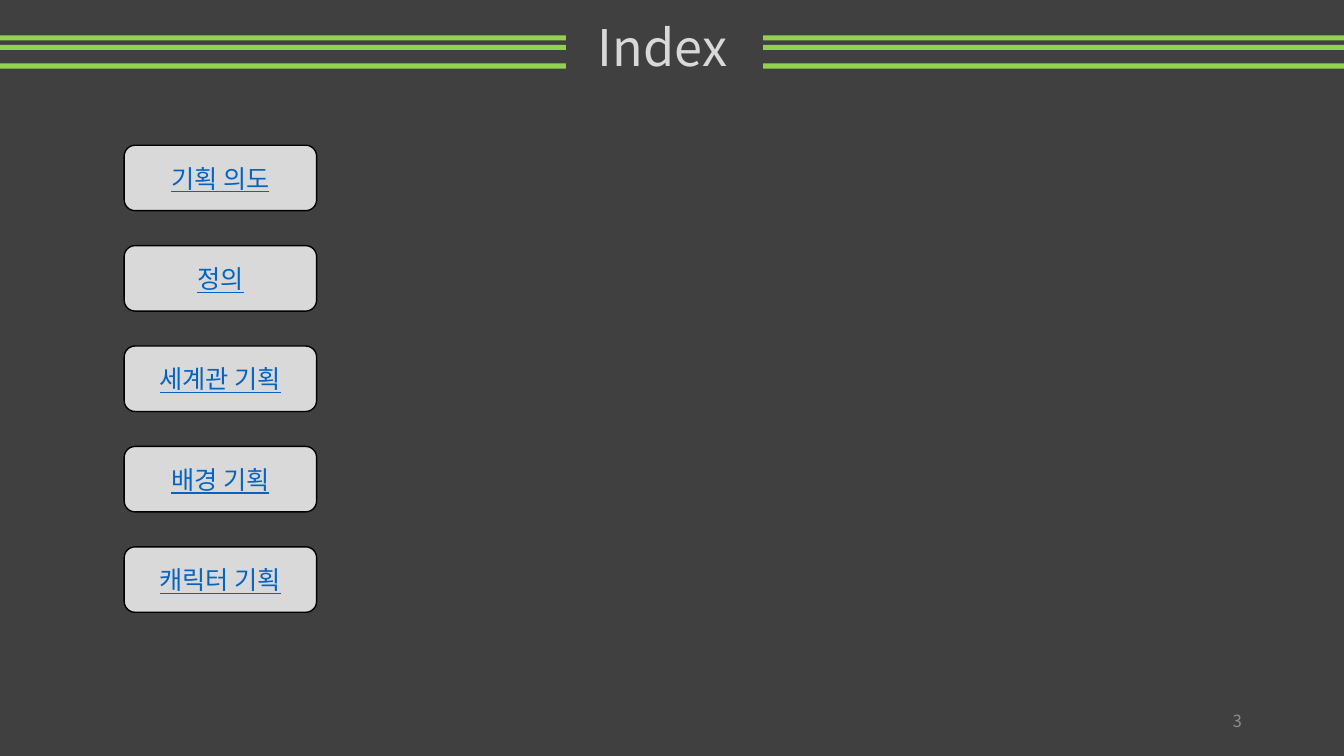
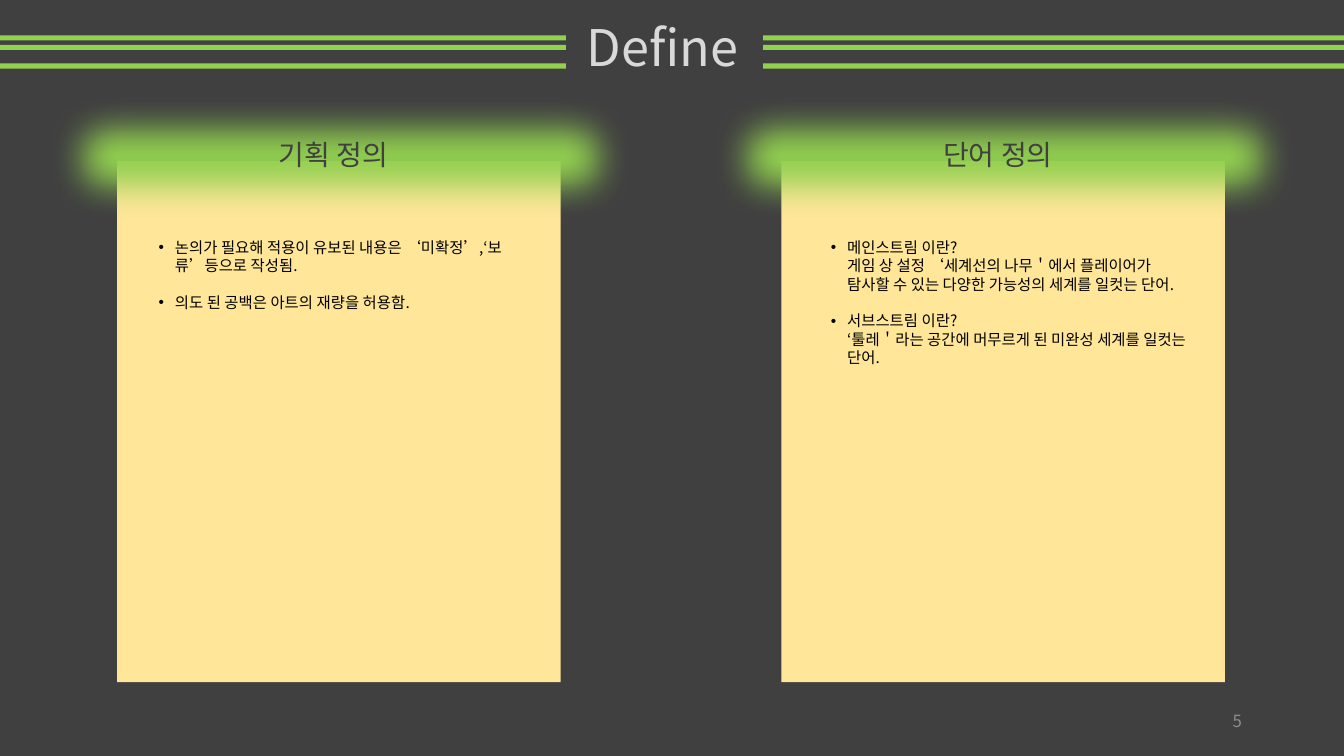
from itertools import groupby

from lxml.etree import SubElement
from pptx import Presentation
from pptx.dml.color import RGBColor
from pptx.enum.shapes import MSO_SHAPE as Shape
from pptx.enum.text import MSO_ANCHOR as Anchor, MSO_AUTO_SIZE as AutoSize, PP_ALIGN as Align
from pptx.oxml.ns import qn
from pptx.util import Cm, Pt

DARK = RGBColor(0x40, 0x40, 0x40)
GREEN = RGBColor(0x92, 0xD0, 0x50)
LIGHT = RGBColor(0xD9, 0xD9, 0xD9)
CREAM = RGBColor(0xFF, 0xE6, 0x99)
GRAY = RGBColor(0x8C, 0x8C, 0x8C)
BLUE = RGBColor(0x05, 0x63, 0xC1)
BLACK = RGBColor(0, 0, 0)
FONT = "Noto Sans CJK KR"
QUOTES = "‘’＇"
WIDTH = 33.87


def write(shape, *paragraphs, size, color, align=Align.CENTER, anchor=Anchor.TOP,
          underline=None, bullet=False, gap=0):
    """Fill a shape with text; quotes are set tight, \n breaks a line."""
    frame = shape.text_frame
    frame.word_wrap = True
    frame.auto_size = AutoSize.NONE
    frame.vertical_anchor = anchor
    for number, text in enumerate(paragraphs):
        paragraph = frame.add_paragraph() if number else frame.paragraphs[0]
        if bullet:
            props = paragraph._p.get_or_add_pPr()
            props.set("marL", str(Cm(0.48)))
            props.set("indent", str(Cm(-0.41)))
            SubElement(props, qn("a:buFont"), typeface="Arial")
            SubElement(props, qn("a:buChar"), char="•")
        paragraph.alignment = align
        paragraph.line_spacing = 1.0
        paragraph.space_before = Pt(gap if number else 0)
        for kind, letters in groupby(text, lambda c: "quote" if c in QUOTES else c == "\n"):
            if kind is True:
                paragraph.add_line_break()
                continue
            run = paragraph.add_run()
            run.text = "".join(letters)
            run.font.size = Pt(size)
            run.font.color.rgb = color
            run.font.underline = underline
            run.font.name = FONT
            props = run._r.get_or_add_rPr()
            SubElement(props, qn("a:ea"), typeface=FONT)
            if kind == "quote":
                props.set("spc", "-300")


def add_block(slide, preset, left, top, width, height, fill, line=None):
    """Add a flat filled shape, outlined only when a line colour is given."""
    block = slide.shapes.add_shape(preset, Cm(left), Cm(top), Cm(width), Cm(height))
    block.shadow.inherit = False
    block.fill.solid()
    block.fill.fore_color.rgb = fill
    if line is None:
        block.line.fill.background()
    else:
        block.line.color.rgb = line
        block.line.width = Pt(1)
    return block


prs = Presentation()
prs.slide_width, prs.slide_height = Cm(WIDTH), Cm(19.05)
background = prs.slide_master.background.fill
background.solid()
background.fore_color.rgb = DARK

# Shared frame: title between green stripes, page number
pages = []
for heading, page_number in (("Index", "3"), ("Define", "5")):
    slide = prs.slides.add_slide(prs.slide_layouts[5])
    for stripe_top in (0.89, 1.13, 1.6):
        for start, end in ((0, 14.26), (19.23, WIDTH)):
            add_block(slide, Shape.RECTANGLE, start, stripe_top, end - start, 0.13, GREEN)
    title = slide.shapes.title
    title.left, title.top, title.width, title.height = Cm(10.77), Cm(0.28), Cm(11.86), Cm(1.8)
    write(title, heading, size=36, color=LIGHT)
    folio = slide.shapes.add_textbox(Cm(23.93), Cm(17.65), Cm(7.62), Cm(1.02))
    write(folio, page_number, size=12, color=GRAY, align=Align.RIGHT, anchor=Anchor.MIDDLE)
    pages.append(slide)
index, define = pages

# Index: one button per chapter
chapters = ("기획 의도", "정의", "세계관 기획", "배경 기획", "캐릭터 기획")
for row, chapter in enumerate(chapters):
    button = add_block(index, Shape.FLOWCHART_ALTERNATE_PROCESS, 3.13, 3.66 + row * 2.53,
                       4.85, 1.65, LIGHT, line=BLACK)
    write(button, chapter, size=18, color=BLUE, anchor=Anchor.MIDDLE, underline=True)

# Define: two sheets, each under a soft-edged tab
definitions = (
    (2.95, 3.68, "기획 정의", (
        "논의가 필요해 적용이 유보된 내용은 ‘미확정’,‘보류’등으로 작성됨.",
        "의도 된 공백은 아트의 재량을 허용함.")),
    (19.69, 20.62, "단어 정의", (
        "메인스트림 이란?\n게임 상 설정 ‘세계선의 나무＇에서 플레이어가 "
        "탐사할 수 있는 다양한 가능성의 세계를 일컷는 단어.",
        "서브스트림 이란?\n‘툴레＇라는 공간에 머무르게 된 미완성 세계를 일컷는 단어.")),
)
for sheet_left, notes_left, topic, notes in definitions:
    add_block(define, Shape.RECTANGLE, sheet_left, 4.06, 11.18, 13.13, CREAM)
    tab = add_block(define, Shape.FLOWCHART_ALTERNATE_PROCESS, sheet_left - 1.7, 2.41,
                    14.66, 3.12, GREEN)
    effects = tab._element.spPr.find(qn("a:effectLst"))
    SubElement(effects, qn("a:softEdge"), rad=str(Pt(25)))
    label = define.shapes.add_textbox(Cm(sheet_left - 0.33), Cm(3.35), Cm(11.58), Cm(1.3))
    write(label, topic, size=20, color=DARK)
    body = define.shapes.add_textbox(Cm(notes_left), Cm(5.87), Cm(9.55), Cm(4))
    body.text_frame.margin_right = Cm(0.2)
    write(body, *notes, size=11, color=BLACK, align=Align.LEFT, bullet=True, gap=13)

prs.save("out.pptx")
